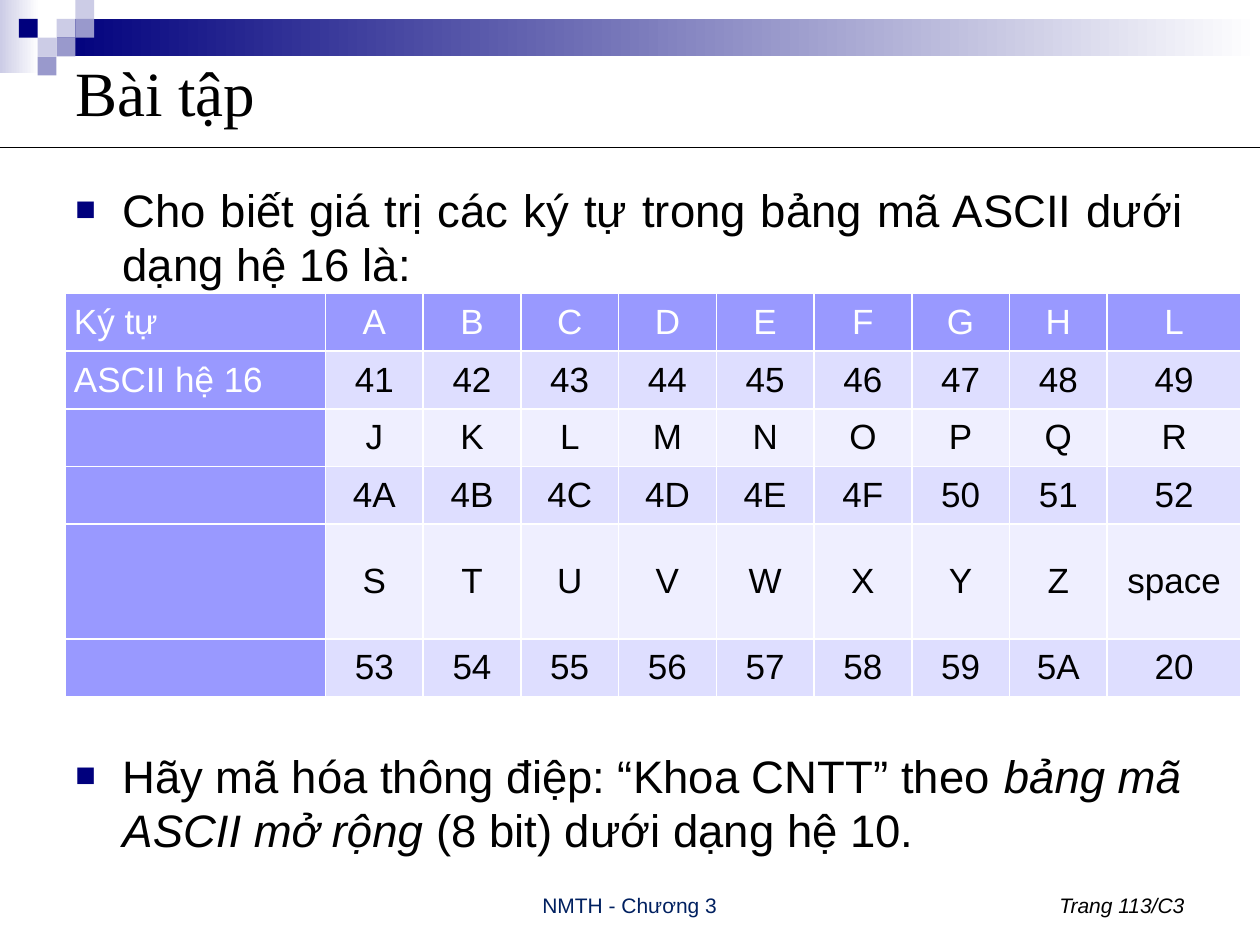
from lxml import etree
from pptx import Presentation
from pptx import util as u
from pptx.dml.color import RGBColor
from pptx.enum import shapes, text
from pptx.oxml import ns

Cm, Pt = u.Cm, u.Pt
LEFT, CENTER, RIGHT = text.PP_ALIGN.LEFT, text.PP_ALIGN.CENTER, text.PP_ALIGN.RIGHT
JUSTIFY = text.PP_ALIGN.JUSTIFY
MIDDLE, BOTTOM, TOP = text.MSO_ANCHOR.MIDDLE, text.MSO_ANCHOR.BOTTOM, text.MSO_ANCHOR.TOP
NAVY, LILAC, MAUVE, HEAD = "00007D", "CCCCE6", "9999CC", "9999FF"
BANDS = ["EFEFFF", "DEDEFF"]

TITLE = "Bài tập"
QUESTION = [("Cho biết giá trị các ký tự trong bảng mã ASCII dưới dạng hệ 16 là:", False)]
TASK = [
    ("Hãy mã hóa thông điệp: “Khoa CNTT” theo ", False),
    ("bảng mã ASCII mở rộng", True),
    (" (8 bit) dưới dạng hệ 10.", False),
]
ROWS = [
    ("Ký tự", "A B C D E F G H L"),
    ("ASCII hệ 16", "41 42 43 44 45 46 47 48 49"),
    ("", "J K L M N O P Q R"),
    ("", "4A 4B 4C 4D 4E 4F 50 51 52"),
    ("", "S T U V W X Y Z space"),
    ("", "53 54 55 56 57 58 59 5A 20"),
]
COL_WIDTHS = [5.25] + [1.97] * 8 + [2.7]
ROW_HEIGHTS = [1.16] * 4 + [2.32, 1.16]
GRADIENTS = [(0, 0, 0.79, 1.47, LILAC), (1.14, 0.38, 24.26, 0.75, NAVY)]
UNIT = 0.38
SQUARES = [
    (3, 1, LILAC), (4, 0, LILAC), (4, 1, MAUVE), (2, 2, LILAC),
    (1, 1, NAVY), (3, 2, MAUVE), (2, 3, MAUVE),
]
FOOTERS = [
    (8.67, 8.05, "NMTH - Chương 3", CENTER, "002060", False),
    (18.21, 5.92, "Trang 113/C3", RIGHT, "000000", True),
]


def rgb(value):
    return RGBColor.from_string(value)


def write(p, content, size=26, font="Arial", color="000000", italic=False, align=LEFT):
    p.alignment = align
    r = p.add_run()
    r.text = content
    r.font.size, r.font.name = Pt(size), font
    r.font.bold, r.font.italic = False, italic
    r.font.color.rgb = rgb(color)


def add_box(s, x, y, w, h, anchor):
    tf = s.shapes.add_textbox(Cm(x), Cm(y), Cm(w), Cm(h)).text_frame
    tf.word_wrap = True
    tf.vertical_anchor = anchor
    return tf


def add_rect(s, x, y, w, h, color, fade=False):
    sp = s.shapes.add_shape(shapes.MSO_SHAPE.RECTANGLE, Cm(x), Cm(y), Cm(w), Cm(h))
    sp.shadow.inherit = False
    sp.line.fill.background()
    if fade:
        sp.fill.gradient()
        sp.fill.gradient_angle = 0
        for stop, shade in zip(sp.fill.gradient_stops, (color, "FFFFFF")):
            stop.color.rgb = rgb(shade)
    else:
        sp.fill.solid()
        sp.fill.fore_color.rgb = rgb(color)


def add_child(parent, tag, **attrs):
    return etree.SubElement(parent, ns.qn(tag), **attrs)


def add_bullet(p):
    pPr = p._p.get_or_add_pPr()
    pPr.set("marL", str(Cm(0.95)))
    pPr.set("indent", str(Cm(-0.95)))
    add_child(add_child(pPr, "a:buClr"), "a:srgbClr", val=NAVY)
    add_child(pPr, "a:buSzPct", val="75000")
    add_child(pPr, "a:buFont", typeface="Arial")
    add_child(pPr, "a:buChar", char="■")


def add_borders(cell):
    tcPr = cell._tc.get_or_add_tcPr()
    for side in ("L", "R", "T", "B"):
        ln = add_child(tcPr, "a:ln" + side, w=str(Pt(1)))
        add_child(add_child(ln, "a:solidFill"), "a:srgbClr", val="FFFFFF")


def add_codes(s):
    table = s.shapes.add_table(
        len(ROWS), len(COL_WIDTHS), Cm(1.31), Cm(5.92),
        Cm(sum(COL_WIDTHS)), Cm(sum(ROW_HEIGHTS)),
    ).table
    for column, width in zip(table.columns, COL_WIDTHS):
        column.width = Cm(width)
    for i, (label, codes) in enumerate(ROWS):
        table.rows[i].height = Cm(ROW_HEIGHTS[i])
        for j, content in enumerate([label] + codes.split()):
            cell = table.cell(i, j)
            header = i == 0 or j == 0
            add_borders(cell)
            cell.fill.solid()
            cell.fill.fore_color.rgb = rgb(HEAD if header else BANDS[i % 2])
            cell.vertical_anchor = MIDDLE
            cell.margin_left = cell.margin_right = Cm(0.18)
            cell.margin_top = cell.margin_bottom = 0
            if content:
                write(cell.text_frame.paragraphs[0], content, size=20,
                      color="FFFFFF" if header else "000000",
                      align=CENTER if j else LEFT)


def main():
    prs = Presentation()
    prs.slide_width, prs.slide_height = Cm(25.4), Cm(19.05)
    s = prs.slides.add_slide(prs.slide_layouts[6])

    for x, y, w, h, color in GRADIENTS:
        add_rect(s, x, y, w, h, color, fade=True)
    for col, row, color in SQUARES:
        add_rect(s, col * UNIT, row * UNIT, UNIT, UNIT, color)

    tf = add_box(s, 1.27, 0.64, 22.86, 2.41, MIDDLE)
    write(tf.paragraphs[0], TITLE, size=36, font="Times New Roman")

    tf = add_box(s, 1.27, 3.54, 22.86, 14.6, TOP)
    question, task = tf.paragraphs[0], tf.add_paragraph()
    for p, runs, align in ((question, QUESTION, JUSTIFY), (task, TASK, LEFT)):
        add_bullet(p)
        for content, italic in runs:
            write(p, content, italic=italic, align=align)
    task.space_before = Pt(261)

    rule = s.shapes.add_connector(
        shapes.MSO_CONNECTOR.STRAIGHT, 0, Cm(2.97), Cm(25.4), Cm(2.97))
    rule.line.color.rgb = rgb("000000")
    rule.line.width = Pt(0.75)
    add_child(rule._element.spPr, "a:effectLst")

    add_codes(s)

    for x, w, content, align, color, italic in FOOTERS:
        tf = add_box(s, x, 17.35, w, 1.27, BOTTOM)
        write(tf.paragraphs[0], content, size=12, color=color, italic=italic, align=align)

    prs.save("out.pptx")


if __name__ == "__main__":
    main()
